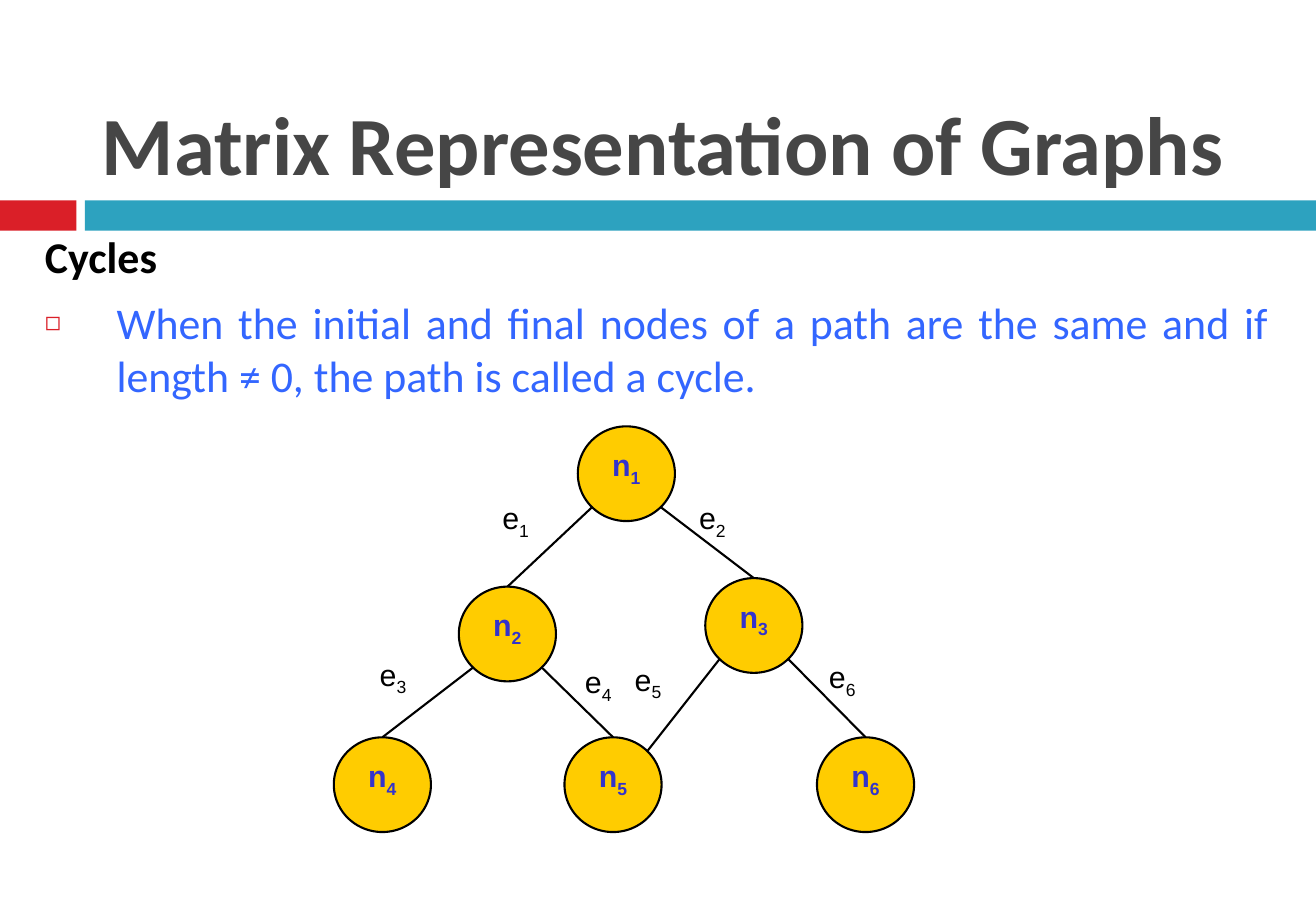
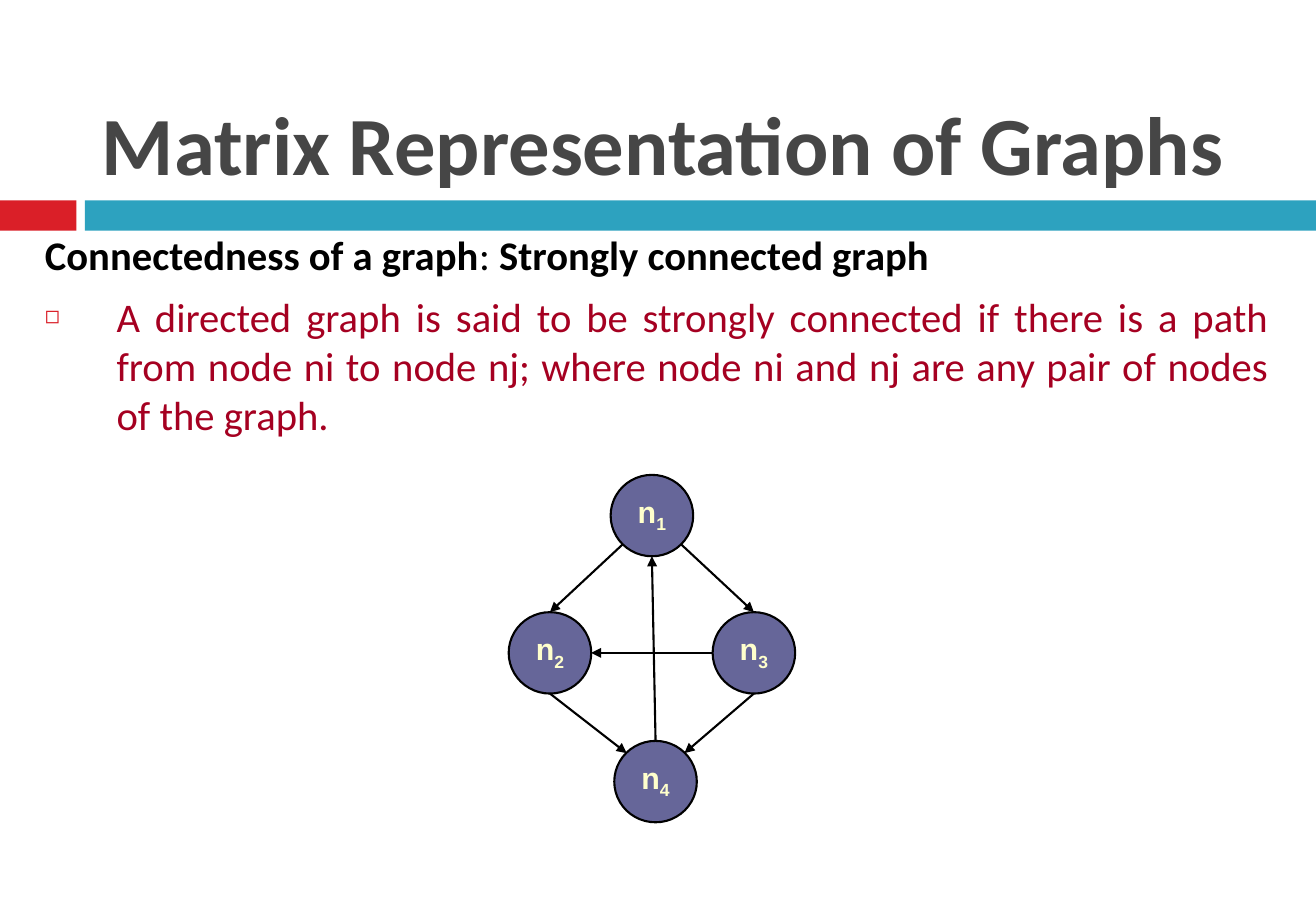
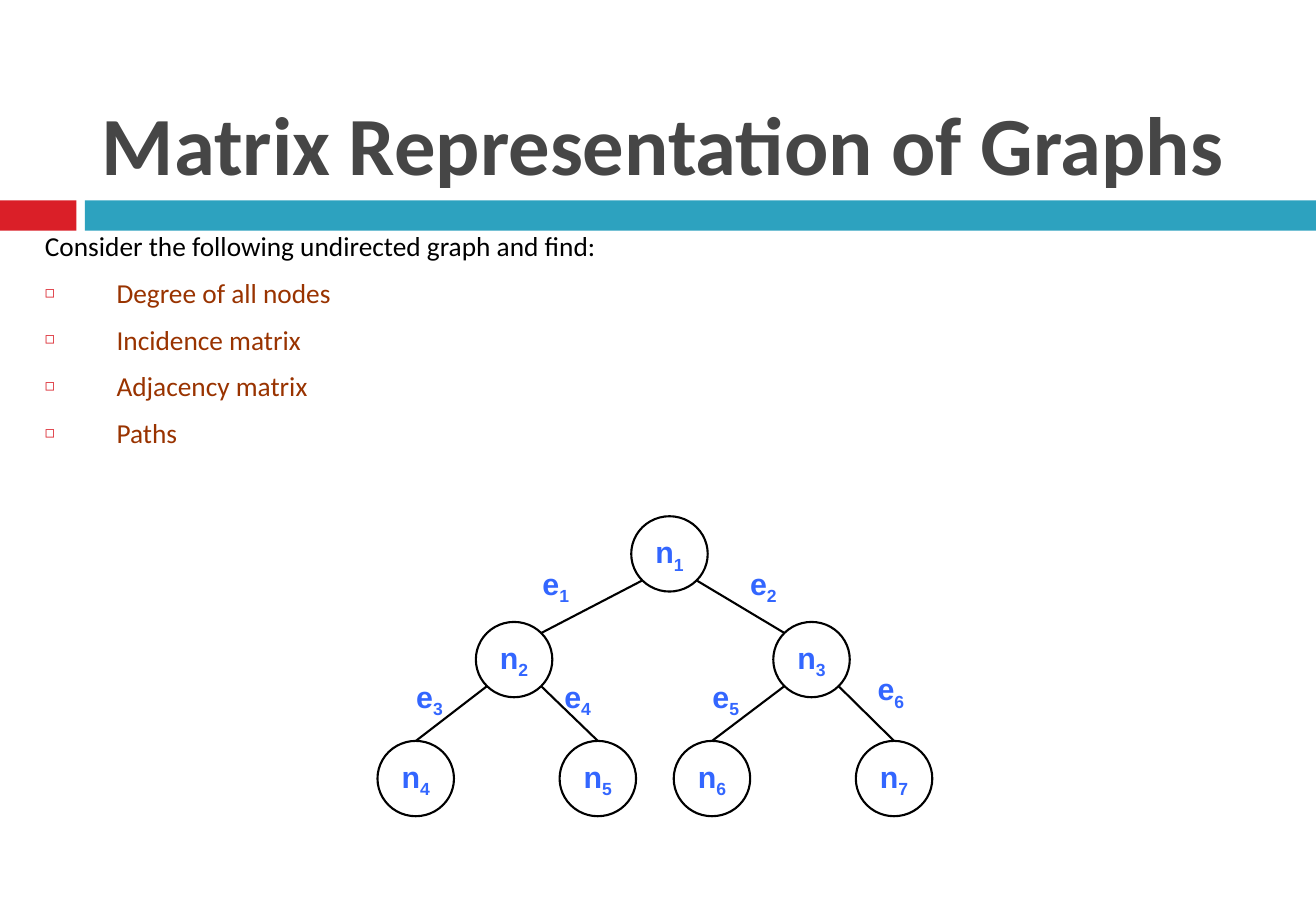
from lxml.etree import SubElement
from pptx import Presentation
from pptx.dml.color import RGBColor
from pptx.enum.shapes import MSO_CONNECTOR, MSO_SHAPE
from pptx.enum.text import MSO_ANCHOR, MSO_AUTO_SIZE, PP_ALIGN
from pptx.oxml.ns import qn
from pptx.util import Inches, Pt

COLORS = {
    "red": "DA1F28", "teal": "2DA2BF", "title": "464646", "black": "000000",
    "blue": "3366FF", "crimson": "A50021", "brown": "993300", "gold": "FFCC00",
    "indigo": "3333CC", "slate": "666699", "cream": "FFFFCC", "white": "FFFFFF",
}
TITLE = "Matrix Representation of Graphs"
TITLE_BOX = (0.72, 0.17, 9.66, 1.47)
BODY_BOX = (0.25, 1.83, 10.33, 1.83)
BANDS = [("red", (0, 1.65, 0.63, 0.25)), ("teal", (0.7, 1.65, 10.14, 0.25))]
BODY_FONT, GRAPH_FONT = "Calibri", "Arial"

ANCHORS = {
    "top": (0.5, 0), "bottom": (0.5, 1), "left": (0, 0.5), "right": (1, 0.5),
    "top left": (0.15, 0.15), "top right": (0.85, 0.15),
    "bottom left": (0.15, 0.85), "bottom right": (0.85, 0.85),
}

SLIDES = [
    {
        "heading": [("Cycles", True)],
        "bullets": ["When the initial and final nodes of a path are the same and if "
                    "length ≠ 0, the path is called a cycle."],
        "size": 26, "color": "blue", "align": PP_ALIGN.JUSTIFY,
        "graph": {
            "node": (0.8, 0.78), "fill": "gold", "text": "indigo", "arrows": False,
            "nodes": {1: (4.76, 3.51), 2: (3.78, 4.83), 3: (5.81, 4.76),
                      4: (2.75, 6.07), 5: (4.65, 6.07), 6: (6.73, 6.07)},
            "edges": [(1, "bottom left", 2, "top"), (1, "bottom right", 3, "top"),
                      (2, "bottom left", 4, "top"), (2, "bottom right", 5, "top"),
                      (3, "bottom left", 5, "top right"), (3, "bottom right", 6, "top")],
            "label": 0.66, "label color": "black", "label bold": False,
            "labels": [(4.04, 4.06), (5.66, 4.06), (3.03, 5.35),
                       (4.72, 5.41), (5.13, 5.39), (6.73, 5.37)],
        },
    },
    {
        "heading": [("Connectedness of a graph", True), (": ", False),
                    ("Strongly connected graph", True)],
        "bullets": ["A directed graph is said to be strongly connected if there is a path "
                    "from node ni to node nj; where node ni and nj are any pair of nodes "
                    "of the graph."],
        "size": 24.1, "color": "crimson", "align": PP_ALIGN.JUSTIFY,
        "graph": {
            "node": (0.68, 0.67), "fill": "slate", "text": "cream", "arrows": True,
            "nodes": {1: (5.03, 3.91), 2: (4.19, 5.04), 3: (5.87, 5.04), 4: (5.06, 6.1)},
            "edges": [(1, "bottom left", 2, "top"), (1, "bottom right", 3, "top"),
                      (2, "bottom", 4, "top left"), (3, "bottom", 4, "top right"),
                      (3, "left", 2, "right"), (4, "top", 1, "bottom")],
            "labels": [],
        },
    },
    {
        "heading": [("Consider the following undirected graph and find:", False)],
        "bullets": ["Degree of all nodes", "Incidence matrix", "Adjacency matrix", "Paths"],
        "size": 16.2, "color": "brown", "align": PP_ALIGN.LEFT,
        "graph": {
            "node": (0.63, 0.62), "fill": "white", "text": "blue", "arrows": False,
            "nodes": {1: (5.2, 4.25), 2: (3.92, 5.12), 3: (6.37, 5.12), 4: (3.11, 6.1),
                      5: (4.61, 6.1), 6: (5.55, 6.1), 7: (7.05, 6.1)},
            "edges": [(1, "bottom left", 2, "top right"), (1, "bottom right", 3, "top left"),
                      (2, "bottom left", 4, "top"), (2, "bottom right", 5, "top"),
                      (3, "bottom left", 6, "top"), (3, "bottom right", 7, "top")],
            "label": 0.52, "label color": "blue", "label bold": True,
            "labels": [(4.37, 4.6), (6.08, 4.6), (3.33, 5.53),
                       (4.55, 5.53), (5.77, 5.53), (7.13, 5.47)],
        },
    },
]


def rgb(name):
    return RGBColor.from_string(COLORS[name])


def style_font(font, name, size, color, bold):
    font.name, font.size, font.bold = name, Pt(size), bold
    font.color.rgb = rgb(color)


def place(shape, box):
    shape.left, shape.top, shape.width, shape.height = map(Inches, box)


def set_insets(frame, side, edge):
    frame.margin_left = frame.margin_right = Inches(side)
    frame.margin_top = frame.margin_bottom = Inches(edge)


def add_bands(layout, page):
    for position, (color, box) in enumerate(BANDS, 2):
        band = page.shapes.add_shape(MSO_SHAPE.RECTANGLE, *map(Inches, box))
        band.shadow.inherit = False
        band.fill.solid()
        band.fill.fore_color.rgb = rgb(color)
        band.line.fill.background()
        layout.shapes._spTree.insert(position, band._element)


def prepare_frame(placeholder, box, anchor):
    place(placeholder, box)
    frame = placeholder.text_frame
    frame.word_wrap = True
    frame.auto_size = MSO_AUTO_SIZE.NONE
    frame.vertical_anchor = anchor
    set_insets(frame, 0.12, 0.06)
    return frame


def fill_title(page):
    frame = prepare_frame(page.shapes.title, TITLE_BOX, MSO_ANCHOR.BOTTOM)
    para = frame.paragraphs[0]
    para.text = TITLE
    para.alignment = PP_ALIGN.LEFT
    style_font(para.font, BODY_FONT, 49, "title", True)


def format_item(para, align, space, bullet):
    para.alignment = align
    para.space_before = Pt(space)
    properties = para._p.get_or_add_pPr()
    properties.set("marL", str(Inches(0.59)))
    properties.set("indent", str(-Inches(0.59)))
    if bullet:
        color = SubElement(properties, qn("a:buClr"))
        SubElement(color, qn("a:srgbClr"), val=COLORS["red"])
        SubElement(properties, qn("a:buSzPct"), val="60000")
        SubElement(properties, qn("a:buChar"), char="◻")
    else:
        SubElement(properties, qn("a:buNone"))


def fill_body(page, content):
    frame = prepare_frame(page.placeholders[1], BODY_BOX, MSO_ANCHOR.TOP)
    heading = frame.paragraphs[0]
    format_item(heading, PP_ALIGN.JUSTIFY, 0, False)
    style_font(heading.font, BODY_FONT, content["size"], "black", False)
    for text, bold in content["heading"]:
        span = heading.add_run()
        span.text = text
        span.font.bold = bold
    for text in content["bullets"]:
        para = frame.add_paragraph()
        para.text = text
        format_item(para, content["align"], 8.2, True)
        style_font(para.font, BODY_FONT, content["size"], content["color"], False)


def write_symbol(shape, letter, number, color, bold, align):
    frame = shape.text_frame
    frame.vertical_anchor = MSO_ANCHOR.TOP
    set_insets(frame, 0.1, 0.05)
    para = frame.paragraphs[0]
    para.alignment = align
    style_font(para.font, GRAPH_FONT, 18, color, bold)
    para.add_run().text = letter
    subscript = para.add_run()
    subscript.text = str(number)
    subscript._r.get_or_add_rPr().set("baseline", "-25000")


def add_node(page, graph, number, corner):
    node = page.shapes.add_shape(MSO_SHAPE.OVAL, *map(Inches, corner + graph["node"]))
    node.shadow.inherit = False
    node.fill.solid()
    node.fill.fore_color.rgb = rgb(graph["fill"])
    node.line.color.rgb = rgb("black")
    node.line.width = Pt(1.25)
    node.text_frame.word_wrap = False
    write_symbol(node, "n", number, graph["text"], True, PP_ALIGN.CENTER)
    return node


def anchor_point(node, anchor):
    across, down = ANCHORS[anchor]
    return int(node.left + across * node.width), int(node.top + down * node.height)


def add_edge(page, start, start_anchor, end, end_anchor, arrow):
    edge = page.shapes.add_connector(
        MSO_CONNECTOR.STRAIGHT,
        *anchor_point(start, start_anchor), *anchor_point(end, end_anchor))
    if start_anchor == "top":
        edge.begin_connect(start, 0)
    if end_anchor == "top":
        edge.end_connect(end, 0)
    edge.line.color.rgb = rgb("black")
    edge.line.width = Pt(1.25)
    if arrow:
        SubElement(edge.line._get_or_add_ln(), qn("a:tailEnd"), type="triangle")
    SubElement(edge._element.spPr, qn("a:effectLst"))


def draw_graph(page, graph):
    for number, corner in enumerate(graph["labels"], 1):
        side = graph["label"]
        label = page.shapes.add_textbox(*map(Inches, corner + (side, side)))
        label.text_frame.word_wrap = True
        write_symbol(label, "e", number, graph["label color"],
                     graph["label bold"], PP_ALIGN.LEFT)
    nodes = {number: add_node(page, graph, number, corner)
             for number, corner in graph["nodes"].items()}
    for start, start_anchor, end, end_anchor in graph["edges"]:
        add_edge(page, nodes[start], start_anchor, nodes[end], end_anchor, graph["arrows"])


def main():
    deck = Presentation()
    deck.slide_width, deck.slide_height = Inches(10.84), Inches(7.5)
    layout = deck.slide_layouts[1]
    for index, content in enumerate(SLIDES):
        page = deck.slides.add_slide(layout)
        if index == 0:
            add_bands(layout, page)
        fill_title(page)
        fill_body(page, content)
        draw_graph(page, content["graph"])
    deck.save("out.pptx")


if __name__ == "__main__":
    main()
